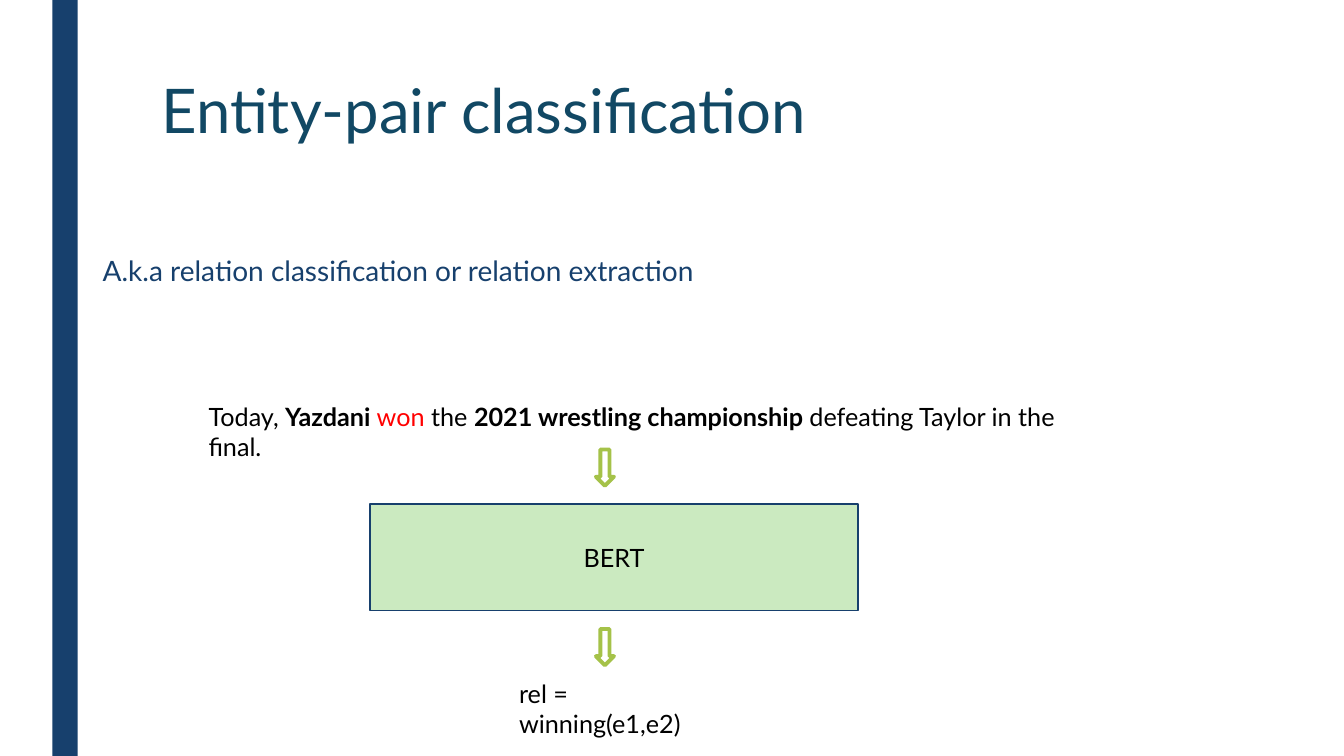
from pptx import Presentation
from pptx import util as u
from pptx.dml.color import RGBColor
from pptx.enum import shapes, text

EMU_PER_PX = 9144
FONT = "Lato"
NAVY, TEAL, GREEN, LIME = "17406D", "114864", "CBEAC0", "A5C249"
BLACK, RED, WHITE = "000000", "FF0000", "FFFFFF"


def px(length):
    return u.Emu(length * EMU_PER_PX)


def color(hex_string):
    return RGBColor.from_string(hex_string)


def add_runs(frame, runs, size, line_spacing=None, align=text.PP_ALIGN.LEFT):
    paragraph = frame.paragraphs[0]
    paragraph.alignment = align
    paragraph.line_spacing = line_spacing
    for words, ink, bold in runs:
        run = paragraph.add_run()
        run.text = words
        run.font.name = FONT
        run.font.size = u.Pt(size)
        run.font.bold = bold
        run.font.color.rgb = color(ink)


def add_box(slide, kind, box, fill, line=None, line_width=1):
    shape = slide.shapes.add_shape(kind, *map(px, box))
    shape.shadow.inherit = False
    shape.fill.solid()
    shape.fill.fore_color.rgb = color(fill)
    if line:
        shape.line.color.rgb = color(line)
        shape.line.width = u.Pt(line_width)
    else:
        shape.line.fill.background()
    return shape


def add_text(slide, box, runs, size, line_spacing=None, margin_top=5):
    frame = slide.shapes.add_textbox(*map(px, box)).text_frame
    frame.word_wrap = True
    frame.margin_top = px(margin_top)
    add_runs(frame, runs, size, line_spacing)


def add_title(slide, box):
    title = slide.shapes.title
    title.left, title.top, title.width, title.height = map(px, box)
    frame = title.text_frame
    frame.auto_size = text.MSO_AUTO_SIZE.NONE
    frame.vertical_anchor = text.MSO_ANCHOR.TOP
    add_runs(frame, [("Entity-pair classification", TEAL, False)], 44, 0.89)


def add_model_flow(slide, box):
    left, top, width, height = box
    sentence = [
        ("Today, ", BLACK, False),
        ("Yazdani ", BLACK, True),
        ("won", RED, False),
        (" the ", BLACK, False),
        ("2021 wrestling championship ", BLACK, True),
        ("defeating Taylor in the final.", BLACK, False),
    ]
    add_text(slide, (left, top, width, 40), sentence, 18)
    model = add_box(slide, shapes.MSO_SHAPE.RECTANGLE,
                    (left + 170, top + 107, 484, 106), GREEN, NAVY)
    model.text_frame.vertical_anchor = text.MSO_ANCHOR.MIDDLE
    add_runs(model.text_frame, [("BERT", BLACK, False)], 18,
             align=text.PP_ALIGN.CENTER)
    add_text(slide, (left + 308, top + height - 40, 225, 40),
             [("rel = winning(e1,e2)", BLACK, False)], 18)
    for arrow_top in (top + 53, top + 231):
        add_box(slide, shapes.MSO_SHAPE.DOWN_ARROW,
                (left + 394, arrow_top, 18, 36), WHITE, LIME, 2.75)


def main():
    presentation = Presentation()
    presentation.slide_width, presentation.slide_height = px(1333), px(750)
    slide = presentation.slides.add_slide(presentation.slide_layouts[5])
    add_box(slide, shapes.MSO_SHAPE.RECTANGLE, (52, 0, 25, 750), NAVY)
    add_title(slide, (150, 75, 1050, 162))
    subtitle = "A.k.a relation classification or relation extraction"
    add_text(slide, (92, 200, 1150, 117), [(subtitle, NAVY, False)], 20, 0.94,
             margin_top=54)
    add_model_flow(slide, (197, 393, 862, 315))
    presentation.save("out.pptx")


if __name__ == "__main__":
    main()
